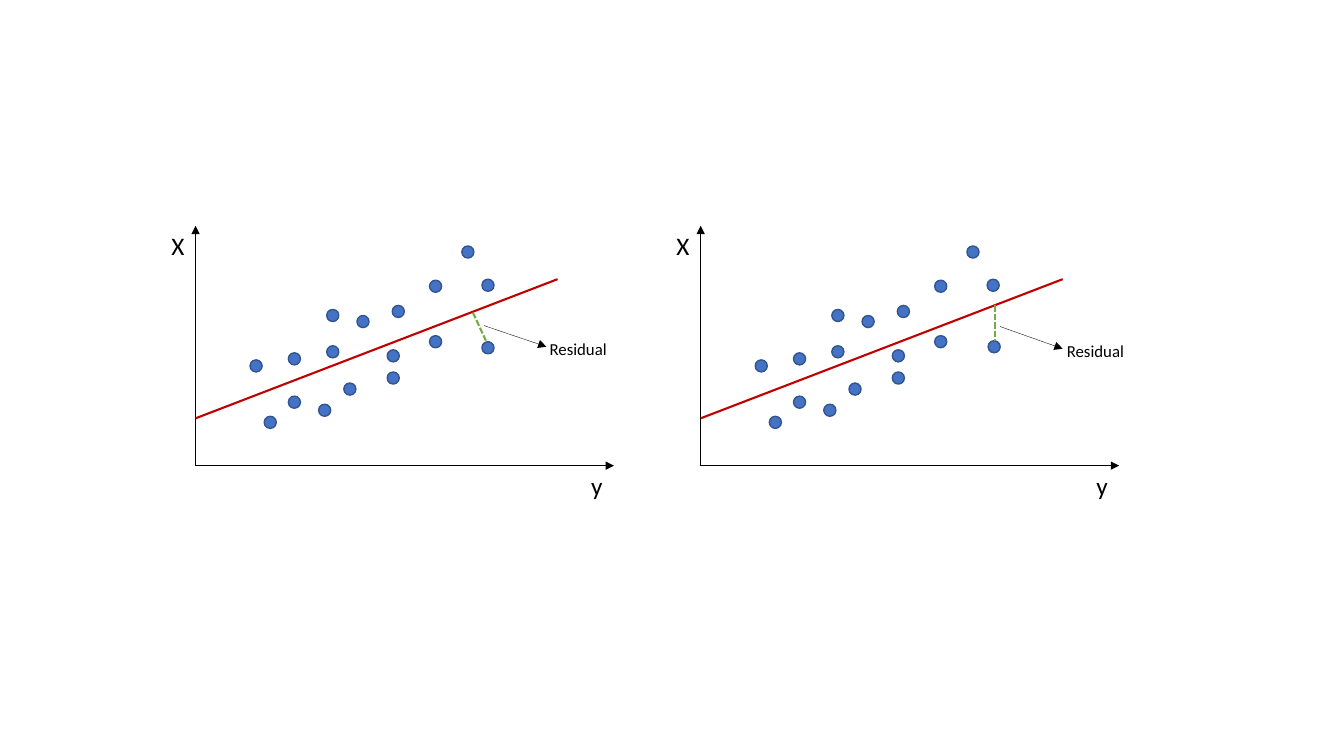
from lxml import etree
from pptx import Presentation
from pptx.dml.color import RGBColor
from pptx.enum import dml, shapes, text
from pptx.oxml import ns
from pptx.util import Inches, Pt

COLORS = {
    "ink": "000000",
    "fit": "C00000",
    "dot": "4472C4",
    "dot_edge": "325491",
    "residual": "70AD47",
}
DOT_SIZE = 0.12
# Left and top of each observation, measured on the left plot
DOTS = [
    (2.48, 3.57), (2.86, 3.5), (2.62, 4.13), (3.24, 3.43),
    (3.41, 3.8), (3.24, 3.07), (3.16, 4.01), (3.84, 3.69),
    (3.89, 3.03), (2.86, 3.93), (4.26, 2.78), (4.26, 3.33),
    (3.54, 3.13), (4.58, 2.44), (4.78, 2.77), (3.84, 3.47),
]
# The plots differ only in how the residual is measured
PLOTS = [
    {"shift": 0, "outlier": (4.78, 3.39),
     "residual": ((4.69, 3.1), (4.82, 3.38)),
     "pointer": ((4.8, 3.23), (5.42, 3.44)), "label": (5.35, 3.31)},
    {"shift": 5.01, "outlier": (4.79, 3.38),
     "residual": ((4.86, 3.03), (4.86, 3.38)),
     "pointer": ((4.91, 3.24), (5.53, 3.46)), "label": (5.47, 3.33)},
]

deck = Presentation()
deck.slide_width, deck.slide_height = Inches(13.33), Inches(7.5)
page = deck.slides.add_slide(deck.slide_layouts[6])


def add_line(start, end, shift=0, color="ink", width=0.5, arrow=False, dash=None):
    line = page.shapes.add_connector(
        shapes.MSO_CONNECTOR.STRAIGHT,
        Inches(start[0] + shift), Inches(start[1]),
        Inches(end[0] + shift), Inches(end[1]))
    line.line.color.rgb = RGBColor.from_string(COLORS[color])
    line.line.width = Pt(width)
    if dash:
        line.line.dash_style = dash
    if arrow:
        etree.SubElement(line.line._get_or_add_ln(), ns.qn("a:tailEnd"), type="triangle")
    etree.SubElement(line._element.spPr, ns.qn("a:effectLst"))


def add_label(words, left, top, width, height, size=18):
    box = page.shapes.add_textbox(
        Inches(left), Inches(top), Inches(width), Inches(height))
    frame = box.text_frame
    frame.word_wrap = False
    frame.auto_size = text.MSO_AUTO_SIZE.SHAPE_TO_FIT_TEXT
    para = frame.paragraphs[0]
    para.alignment = text.PP_ALIGN.CENTER
    span = para.add_run()
    span.text = words
    span.font.name = "Calibri"
    span.font.size = Pt(size)
    span.font.color.rgb = RGBColor.from_string(COLORS["ink"])


for plot in PLOTS:
    shift = plot["shift"]
    add_line((1.94, 4.62), (1.94, 2.24), shift, arrow=True)
    add_line((1.93, 4.62), (6.09, 4.62), shift, arrow=True)
    add_label("X", 1.6 + shift, 2.24, 0.33, 0.4)
    add_label("y", 5.76 + shift, 4.62, 0.32, 0.4)
    add_line((1.94, 4.15), (5.53, 2.77), shift, color="fit", width=1.5)

    for left, top in DOTS + [plot["outlier"]]:
        dot = page.shapes.add_shape(
            shapes.MSO_SHAPE.OVAL, Inches(left + shift), Inches(top),
            Inches(DOT_SIZE), Inches(DOT_SIZE))
        dot.shadow.inherit = False
        dot.fill.solid()
        dot.fill.fore_color.rgb = RGBColor.from_string(COLORS["dot"])
        dot.line.color.rgb = RGBColor.from_string(COLORS["dot_edge"])
        dot.line.width = Pt(1)

    # SQUARE_DOT is the sysDash pattern
    add_line(*plot["residual"], shift, color="residual", width=1.5,
             dash=dml.MSO_LINE.SQUARE_DOT)
    add_line(*plot["pointer"], shift, width=0.25, arrow=True)
    label_left, label_top = plot["label"]
    add_label("Residual", label_left + shift, label_top, 0.77, 0.3, size=12)

deck.save("out.pptx")
